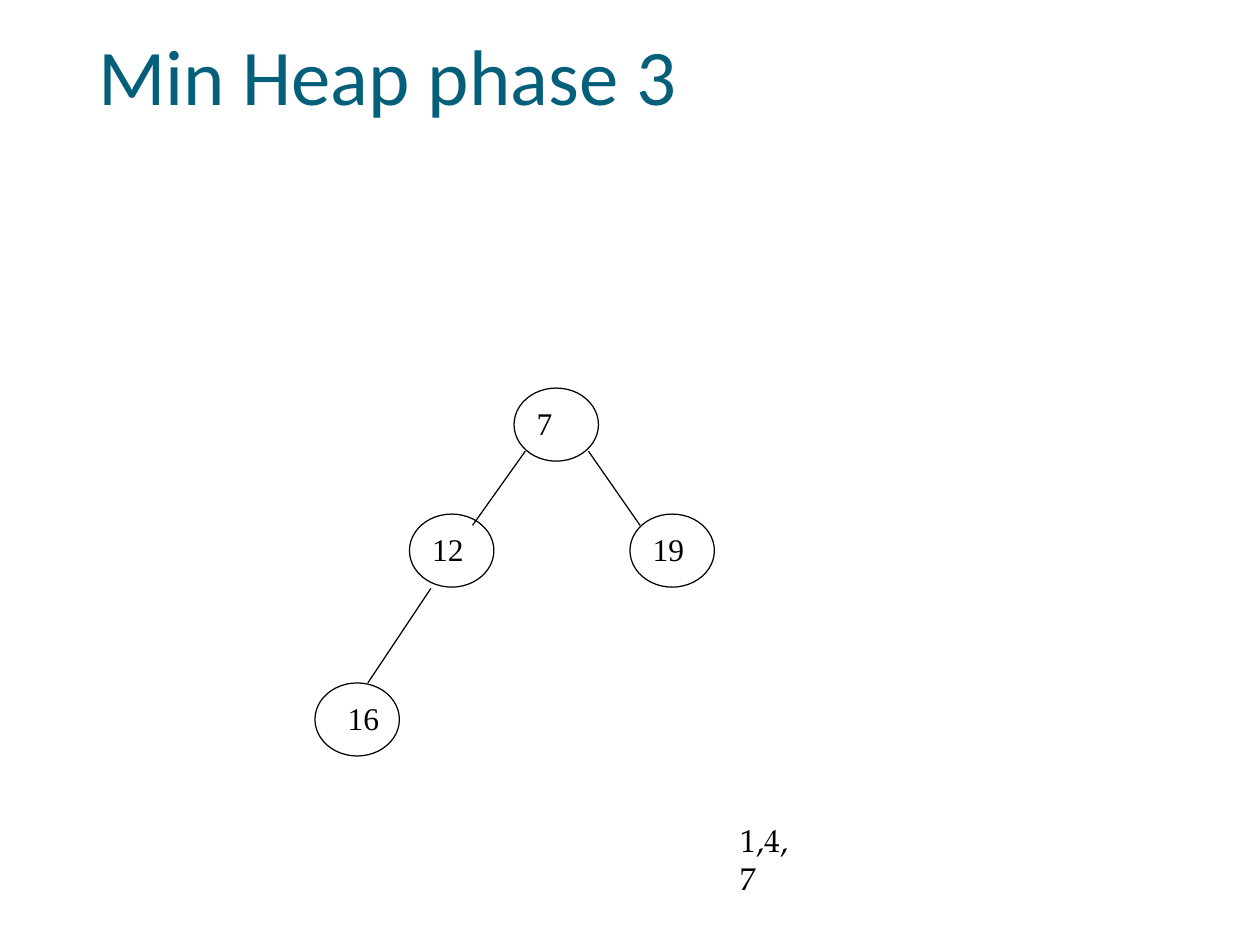
from dataclasses import dataclass

from pptx import Presentation
from pptx.dml.color import RGBColor
from pptx.enum.shapes import MSO_CONNECTOR, MSO_SHAPE
from pptx.enum.text import MSO_ANCHOR, MSO_AUTO_SIZE, PP_ALIGN
from pptx.oxml.ns import qn
from pptx.util import Inches, Pt
from lxml.etree import SubElement

TEAL = RGBColor(0x04, 0x60, 0x7A)
BLACK = RGBColor(0, 0, 0)
NODE_WIDTH, NODE_HEIGHT = 0.67, 0.58
LINE_WIDTH = Pt(0.72)


@dataclass
class Node:
    key: str
    left: float
    top: float
    key_left: float
    key_width: float = 0.28


@dataclass
class Edge:
    start: tuple[float, float]
    end: tuple[float, float]


NODES = [
    Node("7", 4.08, 3.08, 4.25, 0.15),
    Node("12", 3.25, 4.08, 3.42),
    Node("19", 5, 4.08, 5.17),
    Node("16", 2.5, 5.42, 2.75),
]
EDGES = [
    Edge((4.17, 3.58), (3.75, 4.17)),
    Edge((3.42, 4.67), (2.92, 5.42)),
    Edge((4.67, 3.58), (5.08, 4.17)),
]


def write_text(box, text: str, size: float, font_name: str, color: RGBColor) -> None:
    frame = box.text_frame
    frame.word_wrap = True
    frame.auto_size = MSO_AUTO_SIZE.NONE
    frame.vertical_anchor = MSO_ANCHOR.TOP
    frame.margin_left = frame.margin_top = Inches(0.01)
    frame.margin_right = frame.margin_bottom = 0
    frame.text = text
    para = frame.paragraphs[0]
    para.alignment = PP_ALIGN.LEFT
    para.space_before = Pt(1)
    para.font.size = Pt(size)
    para.font.name = font_name
    para.font.color.rgb = color


def add_label(slide, text: str, left: float, top: float, width: float, font_name: str) -> None:
    box = slide.shapes.add_textbox(Inches(left), Inches(top), Inches(width), Inches(0.33))
    write_text(box, text, 18, font_name, BLACK)


def add_node(slide, node: Node) -> None:
    oval = slide.shapes.add_shape(
        MSO_SHAPE.OVAL, Inches(node.left), Inches(node.top), Inches(NODE_WIDTH), Inches(NODE_HEIGHT)
    )
    oval.shadow.inherit = False
    oval.fill.background()
    oval.line.color.rgb = BLACK
    oval.line.width = LINE_WIDTH
    add_label(slide, node.key, node.key_left, node.top + 0.12, node.key_width, "Times New Roman")


def add_edge(slide, edge: Edge) -> None:
    points = [Inches(value) for value in (*edge.start, *edge.end)]
    connector = slide.shapes.add_connector(MSO_CONNECTOR.STRAIGHT, *points)
    connector.line.color.rgb = BLACK
    connector.line.width = LINE_WIDTH
    SubElement(connector._element.spPr, qn("a:effectLst"))


def main() -> None:
    deck = Presentation()
    deck.slide_width, deck.slide_height = Inches(10), Inches(7.5)
    slide = deck.slides.add_slide(deck.slide_layouts[5])
    title = slide.shapes.title
    title.left, title.top = Inches(0.77), Inches(0.2)
    title.width, title.height = Inches(4.61), Inches(0.78)
    write_text(title, "Min Heap phase 3", 45, "Calibri", TEAL)
    for node in NODES:
        add_node(slide, node)
    for edge in EDGES:
        add_edge(slide, edge)
    add_label(slide, "1,4,7", 5.87, 6.51, 0.49, "TeX Gyre Pagella")
    deck.save("out.pptx")


if __name__ == "__main__":
    main()
